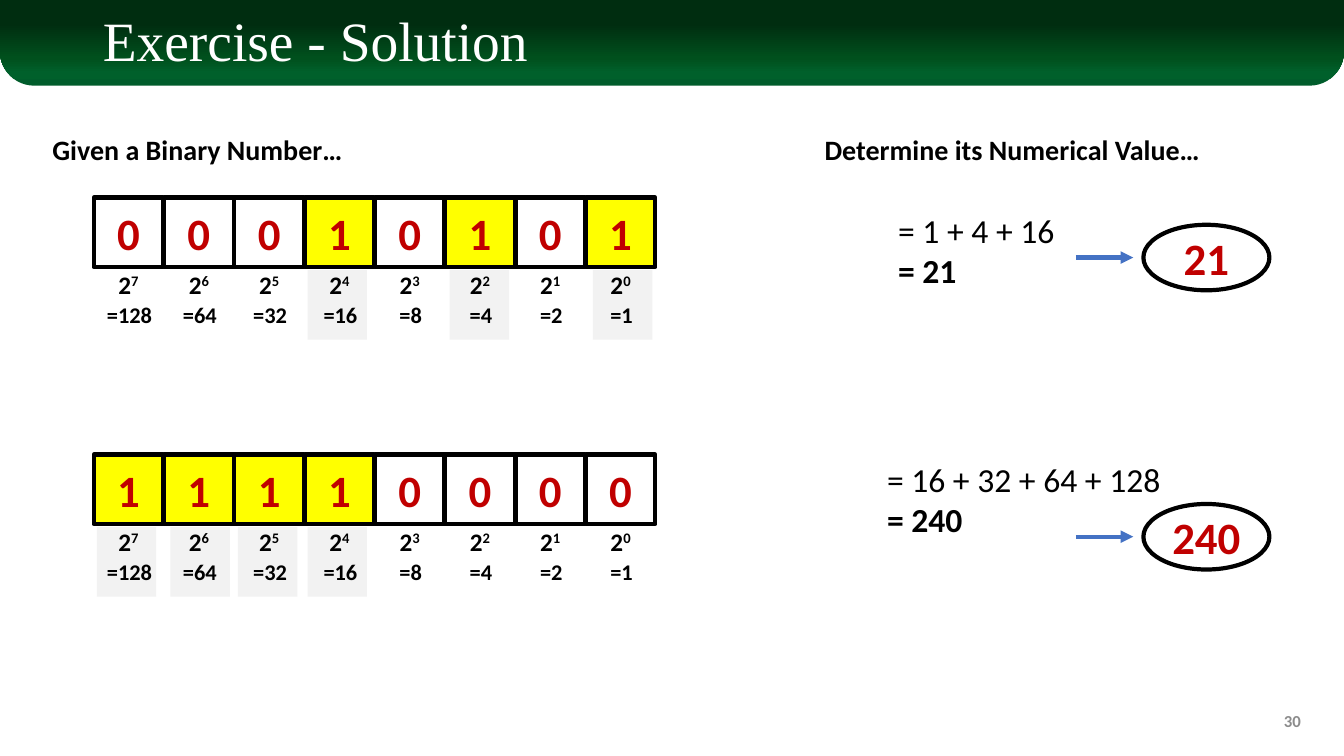
from lxml import etree
from pptx import Presentation
from pptx.dml.color import RGBColor
from pptx.enum.shapes import MSO_CONNECTOR, MSO_SHAPE
from pptx.enum.text import MSO_ANCHOR, PP_ALIGN
from pptx.oxml.ns import qn
from pptx.util import Inches, Pt

RECTANGLE, ELLIPSE = MSO_SHAPE.RECTANGLE, MSO_SHAPE.OVAL
HEADER_SHAPE = MSO_SHAPE.ROUND_2_SAME_RECTANGLE
LEFT, CENTER, RIGHT = PP_ALIGN.LEFT, PP_ALIGN.CENTER, PP_ALIGN.RIGHT
TOP, MIDDLE = MSO_ANCHOR.TOP, MSO_ANCHOR.MIDDLE
STRAIGHT = MSO_CONNECTOR.STRAIGHT
BLACK, RED, YELLOW, GRAY, BLUE = "000000", "C00000", "FFFF00", "F2F2F2", "4472C4"

presentation = Presentation()
presentation.slide_width, presentation.slide_height = Inches(13.33), Inches(7.5)
slide = presentation.slides.add_slide(presentation.slide_layouts[5])
shapes = slide.shapes


def write(shape, *lines, size=20, color=BLACK, bold=True, font="Calibri",
          align=LEFT, anchor=TOP, wrap=False, superscript=None):
    """Fill a shape with text; in several lines only the last follows bold."""
    frame = shape.text_frame
    frame.word_wrap = wrap
    frame.vertical_anchor = anchor
    for index, line in enumerate(lines):
        paragraph = frame.add_paragraph() if index else frame.paragraphs[0]
        paragraph.alignment = align
        for text in (line, superscript):
            if text is None:
                continue
            run = paragraph.add_run()
            run.text = text
            run.font.name, run.font.size = font, Pt(size)
            run.font.bold = bold and index == len(lines) - 1
            run.font.color.rgb = RGBColor.from_string(color)
            if text is superscript:
                run.font._element.set("baseline", "30000")


def add_box(kind, left, top, width, height, fill=None, outline=None):
    shape = shapes.add_shape(kind, Inches(left), Inches(top), Inches(width), Inches(height))
    shape.shadow.inherit = False
    if fill:
        shape.fill.solid()
        shape.fill.fore_color.rgb = RGBColor.from_string(fill)
    else:
        shape.fill.background()
    if outline:
        shape.line.color.rgb = RGBColor.from_string(outline)
        shape.line.width = Pt(3)
    else:
        shape.line.fill.background()
    return shape


# Header band, placed behind the title
header = add_box(HEADER_SHAPE, 0, 0, 13.33, 0.85)
header.adjustments[0], header.adjustments[1] = 0.4, 0
header._element.spPr.find(qn("a:xfrm")).set("flipV", "1")
header.fill.gradient()
header.fill.gradient_angle = 270
stops = header._element.spPr.find(qn("a:gradFill")).find(qn("a:gsLst"))
for stop in list(stops):
    stops.remove(stop)
for percent, color in ((0, "005C2B"), (15, "00602B"), (32, "00501D"), (72, "002D10")):
    stop = etree.SubElement(stops, qn("a:gs"), pos=str(percent * 1000))
    etree.SubElement(stop, qn("a:srgbClr"), val=color)
shapes._spTree.insert(2, header._element)

# Title
title = shapes.title
title.left, title.top = Inches(0.92), Inches(0.13)
title.width, title.height = Inches(11.5), Inches(0.61)
write(title, "Exercise - Solution", size=39.6, color="FFFFFF", bold=False,
      font="Times New Roman", anchor=MIDDLE, wrap=True)
title.text_frame.paragraphs[0].line_spacing = 0.9

# Headings and slide number
for text, left, top, width, height, style in (
    ("Given a Binary Number…", 0.42, 1.27, 3.45, 0.44, {}),
    ("Determine its Numerical Value…", 8.08, 1.27, 3.96, 0.44, {}),
    ("30", 10, 6.95, 3, 0.4,
     {"size": 12, "color": "8C8C8C", "align": RIGHT, "anchor": MIDDLE, "wrap": True}),
):
    box = shapes.add_textbox(Inches(left), Inches(top), Inches(width), Inches(height))
    write(box, text, **style)

# Exercises: bits, row top, sum with its left, top and width, result and its top
exercises = (
    ("00010101", 1.96, "= 1 + 4 + 16", 8.81, 2.03, 1.76, "21", 2.23),
    ("11110000", 4.51, "= 16 + 32 + 64 + 128", 8.7, 4.5, 2.93, "240", 5),
)
cell_left, cell_size = 0.93, 0.69
pitch = (5.81 - cell_left) / 7
highlight_lefts = {0: 0.96, 1: 1.69, 2: 2.36, 3: 3.05, 5: 4.46, 7: 5.88}

for bits, row_top, total, sum_left, sum_top, sum_width, result, result_top in exercises:
    # Bit cells with their powers and place values
    for column, bit in enumerate(bits):
        left = cell_left + column * pitch
        middle = left + cell_size / 2 + 0.01
        power = len(bits) - 1 - column
        if bit == "1":
            add_box(RECTANGLE, highlight_lefts[column], row_top + 0.72, 0.59, 0.69, fill=GRAY)
        cell = add_box(RECTANGLE, left, row_top, cell_size, cell_size,
                       fill=YELLOW if bit == "1" else None, outline=BLACK)
        write(cell, bit, size=32, color=RED, align=CENTER, anchor=MIDDLE, wrap=True)
        power_box = shapes.add_textbox(Inches(middle - 0.22), Inches(row_top + 0.66),
                                       Inches(0.42), Inches(0.4))
        write(power_box, "2", size=18, align=CENTER, superscript=str(power))
        value_box = shapes.add_textbox(Inches(middle - 0.33), Inches(row_top + 0.98),
                                       Inches(0.66), Inches(0.37))
        write(value_box, f"={2 ** power}", size=16, align=CENTER)

    # Sum of the place values
    sum_box = shapes.add_textbox(Inches(sum_left), Inches(sum_top),
                                 Inches(sum_width), Inches(0.91))
    write(sum_box, total, f"= {result}", size=24)

    # Arrow to the circled result
    circle = add_box(ELLIPSE, 11.34, result_top, 1.25, 0.65, outline=BLACK)
    write(circle, result, size=32, color=RED, align=CENTER, anchor=MIDDLE)
    arrow_y = Inches(result_top + 0.325)
    arrow = shapes.add_connector(STRAIGHT, Inches(10.67), arrow_y, Inches(11.24), arrow_y)
    arrow.line.color.rgb = RGBColor.from_string(BLUE)
    arrow.line.width = Pt(3)
    etree.SubElement(arrow.line._get_or_add_ln(), qn("a:tailEnd"), type="triangle")
    etree.SubElement(arrow._element.spPr, qn("a:effectLst"))

presentation.save("out.pptx")
